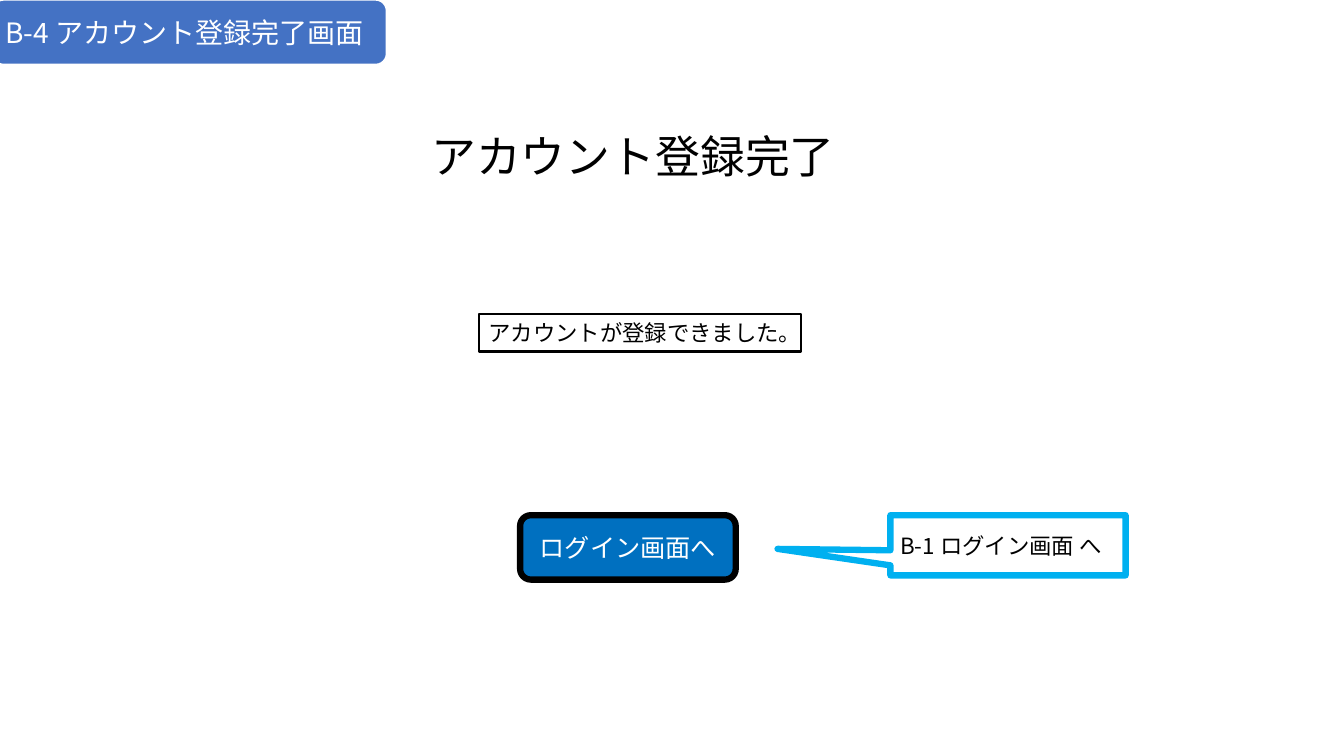
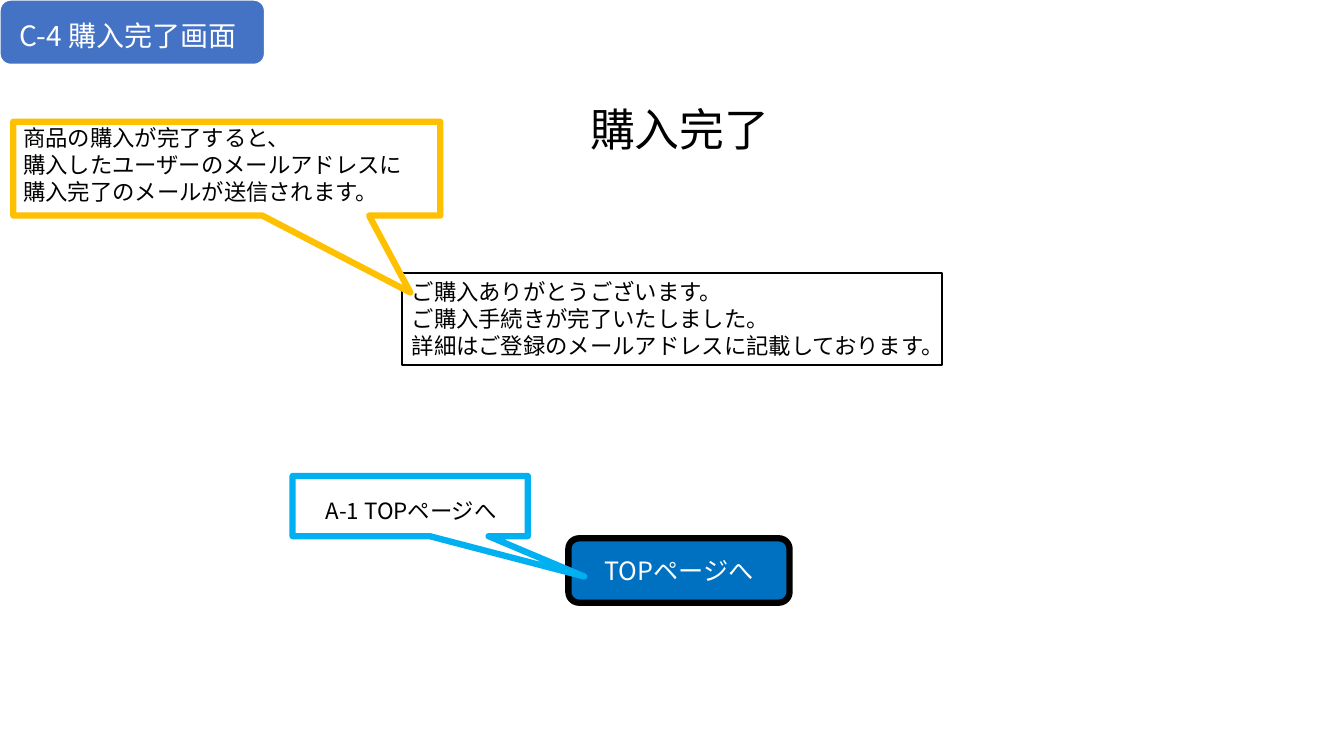
from lxml import etree
from pptx import Presentation
from pptx.dml.color import RGBColor
from pptx.enum.shapes import MSO_SHAPE
from pptx.enum.text import MSO_ANCHOR, MSO_AUTO_SIZE, PP_ALIGN
from pptx.oxml.ns import qn
from pptx.util import Pt

RECTANGLE = MSO_SHAPE.RECTANGLE
ROUNDED = MSO_SHAPE.ROUNDED_RECTANGLE
BUTTON = MSO_SHAPE.FLOWCHART_ALTERNATE_PROCESS
CALLOUT = MSO_SHAPE.RECTANGULAR_CALLOUT
TOP, MIDDLE = MSO_ANCHOR.TOP, MSO_ANCHOR.MIDDLE
LEFT, CENTER = PP_ALIGN.LEFT, PP_ALIGN.CENTER
GROW, FIXED = MSO_AUTO_SIZE.SHAPE_TO_FIT_TEXT, MSO_AUTO_SIZE.NONE

FONT = "Noto Sans CJK JP"
COLORS = {
    "badge": "4472C4",
    "button": "0070C0",
    "link": "00B0F0",
    "note": "FFC000",
    "white": "FFFFFF",
    "black": "000000",
}


def rgb(name):
    return RGBColor.from_string(COLORS[name])


def points(box):
    return [Pt(value) for value in box]


def write_text(shape, text, *, size=16, color="black", align=LEFT,
               anchor=TOP, fit=GROW, inset=None):
    frame = shape.text_frame
    frame.word_wrap = True
    frame.auto_size = fit
    frame.vertical_anchor = anchor
    if inset is not None:
        frame.margin_left = frame.margin_right = Pt(inset)
        frame.margin_top = frame.margin_bottom = Pt(inset)
    for index, line in enumerate(text.split("\n")):
        paragraph = frame.paragraphs[0] if index == 0 else frame.add_paragraph()
        paragraph.alignment = align
        run = paragraph.add_run()
        run.text = line
        run.font.size = Pt(size)
        run.font.color.rgb = rgb(color)
        run.font.name = FONT
        east_asian = etree.SubElement(run.font._element, qn("a:ea"))
        east_asian.set("typeface", FONT)


def add_text(shapes, box, text, **style):
    write_text(shapes.add_textbox(*points(box)), text, **style)


def add_panel(shapes, kind, box, *, line, weight, fill=None):
    panel = shapes.add_shape(kind, *points(box))
    panel.shadow.inherit = False
    if fill:
        panel.fill.solid()
        panel.fill.fore_color.rgb = rgb(fill)
    else:
        panel.fill.background()
    panel.line.color.rgb = rgb(line)
    panel.line.width = Pt(weight)
    return panel


def add_badge(slide, left, width, label_box, text):
    shapes = slide.shapes.add_group_shape().shapes
    add_panel(shapes, ROUNDED, (left, 0, width, 46), fill="badge", line="white", weight=1)
    add_text(shapes, label_box, text, size=20, color="white",
             anchor=MIDDLE, fit=FIXED, inset=5.76)


def add_title(slide, box, text):
    add_text(slide.shapes, box, text, size=32)


def add_message(slide, box, text):
    panel = add_panel(slide.shapes, RECTANGLE, box, line="black", weight=1.5)
    write_text(panel, text)


def add_button(slide, box, text):
    button = add_panel(slide.shapes, BUTTON, box, fill="button", line="black", weight=4.5)
    write_text(button, text, size=18, color="white", align=CENTER, anchor=MIDDLE, fit=FIXED)


def add_callout(slide, box, tip, label_box, text, color="link"):
    shapes = slide.shapes.add_group_shape().shapes
    bubble = add_panel(shapes, CALLOUT, box, fill="white", line=color, weight=4.5)
    bubble.adjustments[0], bubble.adjustments[1] = tip
    add_text(shapes, label_box, text)


def build_account_done(slide):
    add_badge(slide, -5, 281, (-2, 2, 276, 42), "B-4 アカウント登録完了画面")
    add_title(slide, (301, 88.5, 312.5, 46), "アカウント登録完了")
    add_message(slide, (342, 224.5, 230.5, 26.6), "アカウントが登録できました。")
    add_callout(slide, (636, 368, 168, 43), (-0.98, 0.06),
                (636, 376.5, 169, 46), "B-1 ログイン画面 へ")
    add_button(slide, (371.5, 368, 154, 46), "ログイン画面へ")


def build_purchase_done(slide):
    add_badge(slide, 0, 189, (8.5, 4.5, 172, 42), "C-4 購入完了画面")
    add_title(slide, (414.5, 69, 149, 46), "購入完了")
    add_message(slide, (287, 195, 386, 65.5),
                "ご購入ありがとうございます。\n"
                "ご購入手続きが完了いたしました。\n"
                "詳細はご登録のメールアドレスに記載しております。")
    add_button(slide, (406, 384.5, 158, 46), "TOPページへ")
    add_callout(slide, (209, 340, 168, 43), (0.74, 1.17),
                (225.5, 351.5, 199, 46), "A-1 TOPページへ")
    add_callout(slide, (9.5, 87, 305, 67), (0.43, 1.32), (9.5, 85, 303, 65.5),
                "商品の購入が完了すると、\n"
                "購入したユーザーのメールアドレスに\n"
                "購入完了のメールが送信されます。", color="note")


def main():
    deck = Presentation()
    deck.slide_width, deck.slide_height = Pt(960), Pt(540)
    blank = deck.slide_layouts[6]
    for build in (build_account_done, build_purchase_done):
        build(deck.slides.add_slide(blank))
    deck.save("out.pptx")


if __name__ == "__main__":
    main()
